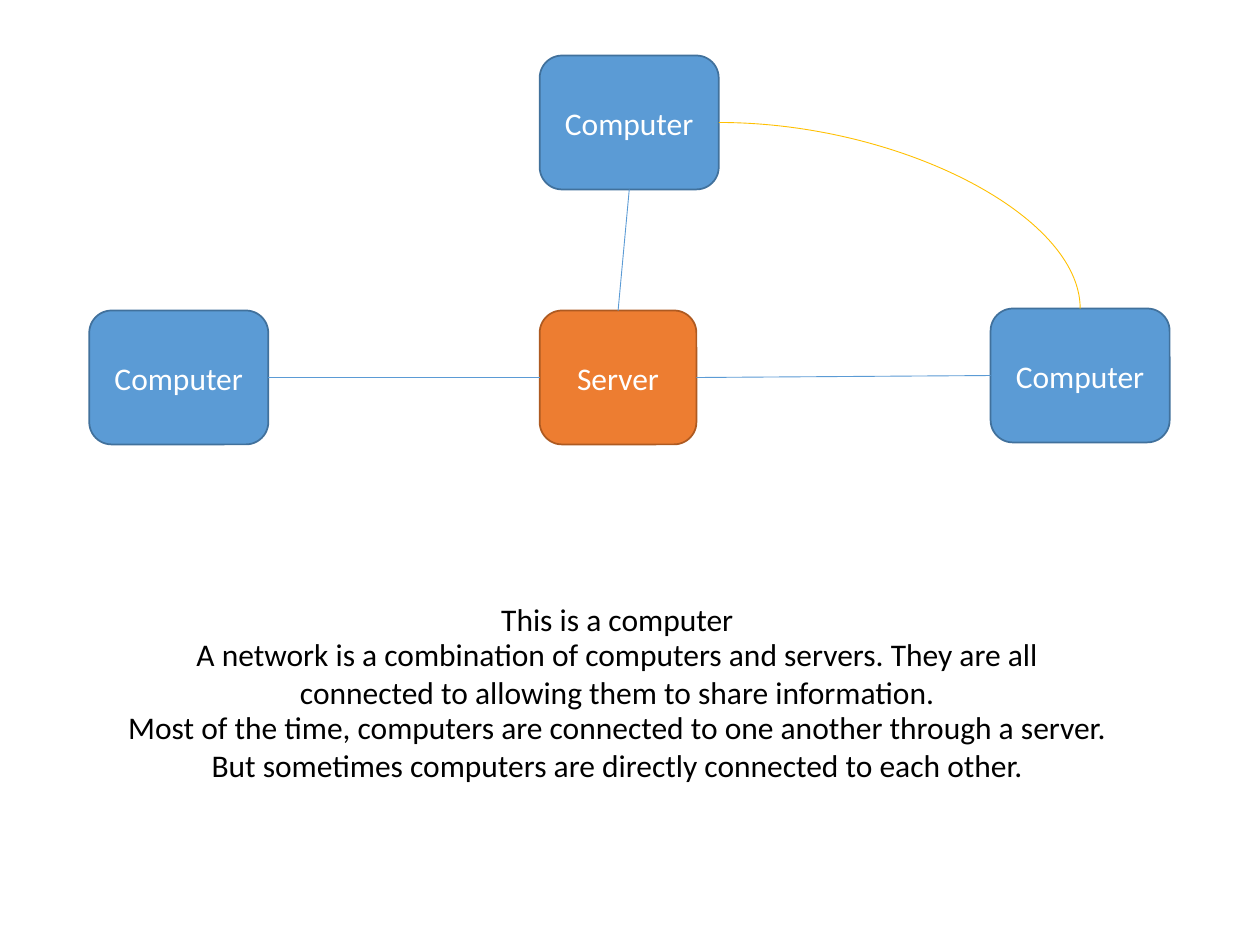
from pptx import Presentation
from pptx.dml.color import RGBColor
from pptx.enum.shapes import MSO_CONNECTOR, MSO_SHAPE
from pptx.enum.text import MSO_ANCHOR, MSO_AUTO_SIZE, PP_ALIGN
from pptx.oxml.ns import qn
from pptx.oxml.xmlchemy import OxmlElement
from pptx.util import Cm, Pt

ROUND = MSO_SHAPE.ROUNDED_RECTANGLE
STRAIGHT, CURVE = MSO_CONNECTOR.STRAIGHT, MSO_CONNECTOR.CURVE
MIDDLE, CENTER = MSO_ANCHOR.MIDDLE, PP_ALIGN.CENTER
GROW = MSO_AUTO_SIZE.SHAPE_TO_FIT_TEXT
TOP, LEFT, BOTTOM, RIGHT = range(4)

BLUE, NAVY = "5B9BD5", "41719C"
ORANGE, RUST = "ED7D31", "AE5A21"
GOLD, WHITE, BLACK = "FFC000", "FFFFFF", "000000"

NOTES = [
    (11.98, 1.02, "This is a computer"),
    (12.68, 1.78, "A network is a combination of computers and servers. "
                  "They are all connected to allowing them to share information."),
    (14.15, 1.78, "Most of the time, computers are connected to one another through a server. "
                  "But sometimes computers are directly connected to each other."),
]


def color(code):
    return RGBColor.from_string(code)


def write(frame, text, ink):
    frame.word_wrap = True
    para = frame.paragraphs[0]
    para.text = text
    para.alignment = CENTER
    para.font.name = "Calibri"
    para.font.size = Pt(18)
    para.font.color.rgb = color(ink)


def add_node(slide, text, left, top, width=3.61, fill=BLUE, edge=NAVY):
    node = slide.shapes.add_shape(ROUND, Cm(left), Cm(top), Cm(width), Cm(2.7))
    node.shadow.inherit = False
    node.fill.solid()
    node.fill.fore_color.rgb = color(fill)
    node.line.color.rgb = color(edge)
    node.line.width = Pt(1)
    node.text_frame.vertical_anchor = MIDDLE
    write(node.text_frame, text, WHITE)
    return node


def add_link(slide, start, side, end, other, kind=STRAIGHT, ink=BLUE):
    """Join the given sides of two nodes."""
    link = slide.shapes.add_connector(kind, 0, 0, 0, 0)
    link.begin_connect(start, side)
    link.end_connect(end, other)
    link.line.color.rgb = color(ink)
    link.line.width = Pt(0.5)
    props = link.element.spPr
    props.append(OxmlElement("a:effectLst"))
    if kind == CURVE:  # a single quarter bend
        props.find(qn("a:prstGeom")).set("prst", "curvedConnector2")


def add_note(slide, top, height, text):
    box = slide.shapes.add_textbox(Cm(2.31), Cm(top), Cm(20.27), Cm(height))
    write(box.text_frame, text, BLACK)
    box.text_frame.auto_size = GROW


def main():
    deck = Presentation()
    deck.slide_width, deck.slide_height = Cm(25.4), Cm(19.05)
    slide = deck.slides.add_slide(deck.slide_layouts[6])

    upper = add_node(slide, "Computer", 10.88, 1.12)
    west = add_node(slide, "Computer", 1.8, 6.26)
    east = add_node(slide, "Computer", 19.97, 6.22)
    server = add_node(slide, "Server", 10.88, 6.26, 3.16, ORANGE, RUST)

    add_link(slide, upper, BOTTOM, server, TOP)
    add_link(slide, server, RIGHT, east, LEFT)
    add_link(slide, west, RIGHT, server, LEFT)
    add_link(slide, upper, RIGHT, east, TOP, CURVE, GOLD)

    for top, height, text in NOTES:
        add_note(slide, top, height, text)
    deck.save("out.pptx")


if __name__ == "__main__":
    main()
